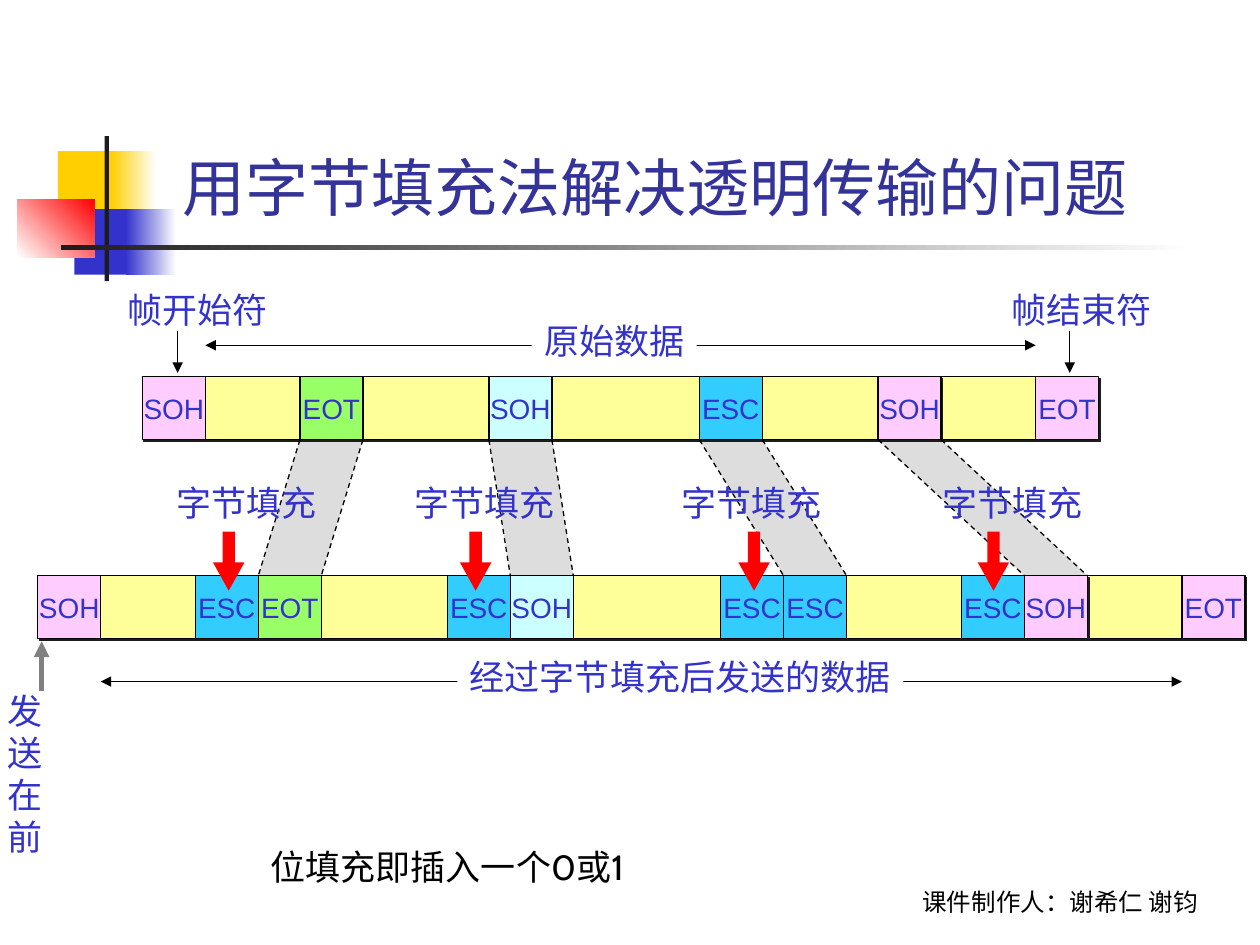
from lxml.etree import SubElement
from pptx import Presentation
from pptx.dml.color import RGBColor
from pptx.enum.dml import MSO_LINE
from pptx.enum.shapes import MSO_CONNECTOR, MSO_SHAPE
from pptx.enum.text import MSO_ANCHOR, MSO_AUTO_SIZE, PP_ALIGN
from pptx.oxml.ns import qn
from pptx.util import Pt

BLACK = RGBColor(0x00, 0x00, 0x00)
WHITE = RGBColor(0xFF, 0xFF, 0xFF)
CHARCOAL = RGBColor(0x1C, 0x1C, 0x1C)
GRAY = RGBColor(0x80, 0x80, 0x80)
BAND_GRAY = RGBColor(0xDD, 0xDD, 0xDD)
GOLD = RGBColor(0xFF, 0xCF, 0x01)
BLUE = RGBColor(0x33, 0x33, 0xCC)
TITLE_BLUE = RGBColor(0x33, 0x33, 0x99)
RED = RGBColor(0xFF, 0x00, 0x00)
PINK = RGBColor(0xFF, 0xCC, 0xFF)
YELLOW = RGBColor(0xFF, 0xFF, 0x99)
GREEN = RGBColor(0x99, 0xFF, 0x66)
CYAN = RGBColor(0xCC, 0xFF, 0xFF)
SKY = RGBColor(0x33, 0xCC, 0xFF)

CELL = 36
ORIGINAL_TOP, SENT_TOP = 215.3, 329
ORIGINAL_LEFT, ORIGINAL_END = 81.4, 591.8
SENT_LEFT, SENT_END = 21.6, 675.4
CAPTION_WIDTH, CAPTION_HEIGHT = 94.3, 31.7

# label, fill, shadow, original left, stuffed left, caption left, arrow left
STUFFINGS = [
    ("EOT", GREEN, False, 171.4, 147.6, 93.6, 121.7),
    ("SOH", CYAN, False, 279.4, 291.6, 229.7, 262.8),
    ("ESC", SKY, False, 399.6, 447.8, 382.3, 421.9),
    ("SOH", PINK, True, 501.8, 585.4, 531.4, 558.7),
]

CELL_FRAME = {"word_wrap": False, "vertical_anchor": MSO_ANCHOR.MIDDLE}
CAPTION_FRAME = {"word_wrap": False, "auto_size": MSO_AUTO_SIZE.SHAPE_TO_FIT_TEXT}
CAPTION_FONT = {"name": "Arial", "size": Pt(20)}
CELL_FONT = {"name": "Arial", "size": Pt(16)}


def set_format(target, values):
    """Set every named attribute of the target."""
    for name, value in values.items():
        setattr(target, name, value)


def write_text(frame, text, frame_format, font_format, color, align=PP_ALIGN.LEFT):
    """Fill a text frame with formatted paragraphs."""
    frame.text = text
    set_format(frame, frame_format)
    for paragraph in frame.paragraphs:
        paragraph.alignment = align
        for run in paragraph.runs:
            set_format(run.font, font_format)
            run.font.color.rgb = color


def add_block(slide, left, top, width, height, fill, preset=MSO_SHAPE.RECTANGLE):
    """Add a plain borderless shape."""
    block = slide.shapes.add_shape(preset, Pt(left), Pt(top), Pt(width), Pt(height))
    block.shadow.inherit = False
    block.fill.solid()
    block.fill.fore_color.rgb = fill
    block.line.fill.background()
    return block


def add_fade(slide, left, top, width, height, start, end, angle=0):
    """Add a block with a two-colour gradient."""
    fade = add_block(slide, left, top, width, height, start)
    fade.fill.gradient()
    fade.fill.gradient_angle = angle
    for stop, color in zip(fade.fill.gradient_stops, (start, end)):
        stop.color.rgb = color


def add_cell(slide, left, top, fill, label="", width=CELL, shadow=False):
    """Add one outlined field of a frame."""
    cell = add_block(slide, left, top, width, CELL, fill)
    cell.line.color.rgb = BLACK
    cell.line.width = Pt(0.75)
    if shadow:
        effects = cell._element.spPr.find(qn("a:effectLst"))
        outer = SubElement(effects, qn("a:outerShdw"), dist=str(Pt(1.4)), dir="2700000",
                           algn="ctr", rotWithShape="0")
        SubElement(outer, qn("a:srgbClr"), val=str(CHARCOAL))
    if label:
        write_text(cell.text_frame, label, CELL_FRAME, CELL_FONT, BLUE, PP_ALIGN.CENTER)


def add_line(slide, start, end, color=BLACK, width=0.75, dash=None, ends=()):
    """Add a straight line with optional dashes and arrowheads."""
    line = slide.shapes.add_connector(MSO_CONNECTOR.STRAIGHT, *map(Pt, start + end))
    line.line.color.rgb = color
    set_format(line.line, {"width": Pt(width), "dash_style": dash})
    properties = line._element.spPr
    for end_tag in ends:
        SubElement(properties.find(qn("a:ln")), qn(end_tag), type="triangle")
    SubElement(properties, qn("a:effectLst"))


def add_band(slide, original_left, stuffed_left):
    """Add the gray band that links a field to its stuffed place."""
    bottom = ORIGINAL_TOP + CELL
    corners = [(original_left + CELL, bottom), (stuffed_left + CELL, SENT_TOP),
               (stuffed_left, SENT_TOP)]
    builder = slide.shapes.build_freeform(Pt(original_left), Pt(bottom))
    builder.add_line_segments([(Pt(x), Pt(y)) for x, y in corners], close=True)
    band = builder.convert_to_shape()
    band.shadow.inherit = False
    band.fill.solid()
    band.fill.fore_color.rgb = BAND_GRAY
    band.line.fill.background()


def add_caption(slide, text, left, top, width=CAPTION_WIDTH, height=CAPTION_HEIGHT,
                color=BLUE, fill=None, frame=CAPTION_FRAME, font=CAPTION_FONT,
                align=PP_ALIGN.LEFT):
    """Add a text box with an optional background."""
    caption = slide.shapes.add_textbox(Pt(left), Pt(top), Pt(width), Pt(height))
    if fill is not None:
        caption.fill.solid()
        caption.fill.fore_color.rgb = fill
    write_text(caption.text_frame, text, frame, font, color, align)


def add_title(slide, text):
    """Place the slide title."""
    title = slide.shapes.title
    set_format(title, {"left": Pt(90.7), "top": Pt(16.6), "width": Pt(575.3), "height": Pt(115.2)})
    write_text(title.text_frame, text,
               {"vertical_anchor": MSO_ANCHOR.BOTTOM, "auto_size": MSO_AUTO_SIZE.NONE},
               {"name": "Arial", "size": Pt(36)}, TITLE_BLUE, PP_ALIGN.CENTER)


def add_ornament(slide):
    """Draw the coloured squares and rules beside the title."""
    add_block(slide, 33.1, 86.4, 34.6, 37.4, GOLD)
    add_fade(slide, 63.4, 86.4, 25.9, 37.4, GOLD, WHITE)
    add_block(slide, 42.5, 119.5, 33.1, 37.4, BLUE)
    add_fade(slide, 72, 119.5, 28.8, 37.4, BLUE, WHITE)
    add_fade(slide, 10.1, 113.8, 43.9, 33.1, WHITE, RED, 45)
    add_block(slide, 59.8, 77.8, 2.4, 82.8, CHARCOAL)
    add_fade(slide, 34.6, 140.2, 648, 2.4, CHARCOAL, WHITE)


def add_frame(slide, left, end, top):
    """Draw a frame with its data bar and its delimiters."""
    add_cell(slide, left, top, PINK, "SOH", shadow=True)
    add_cell(slide, left + CELL, top, YELLOW, width=end - left - CELL, shadow=True)
    add_cell(slide, end, top, PINK, "EOT", shadow=True)


def add_stuffing(slide, label, fill, shadow, original_left, stuffed_left, caption_left, arrow_left):
    """Draw one escaped field with its links, caption and arrow."""
    add_cell(slide, original_left, ORIGINAL_TOP, fill, label, shadow=shadow)
    add_cell(slide, stuffed_left - CELL, SENT_TOP, SKY, "ESC")
    add_cell(slide, stuffed_left, SENT_TOP, fill, label, shadow=shadow)
    for edge in (0, CELL):
        add_line(slide, (original_left + edge, ORIGINAL_TOP + CELL),
                 (stuffed_left + edge, SENT_TOP), dash=MSO_LINE.DASH)
    add_caption(slide, "字节填充", caption_left, 271.4)
    arrow = add_block(slide, arrow_left, 303.8, 18, 33.8, RED, MSO_SHAPE.DOWN_ARROW)
    arrow.adjustments[0], arrow.adjustments[1] = 0.39, 0.9


def main():
    """Build the byte stuffing slide."""
    deck = Presentation()
    set_format(deck, {"slide_width": Pt(720), "slide_height": Pt(540)})
    slide = deck.slides.add_slide(deck.slide_layouts[5])
    add_ornament(slide)
    add_title(slide, "用字节填充法解决透明传输的问题 ")

    for stuffing in STUFFINGS:
        add_band(slide, *stuffing[3:5])
    add_frame(slide, ORIGINAL_LEFT, ORIGINAL_END, ORIGINAL_TOP)
    add_frame(slide, SENT_LEFT, SENT_END, SENT_TOP)
    for stuffing in STUFFINGS:
        add_stuffing(slide, *stuffing)

    both_ends = ("a:headEnd", "a:tailEnd")
    add_line(slide, (ORIGINAL_LEFT + CELL, 197.3), (ORIGINAL_END, 197.3), ends=both_ends)
    add_caption(slide, "原始数据", 303.8, 179.3, fill=WHITE)
    add_line(slide, (SENT_LEFT + CELL, 389.5), (SENT_END, 389.5), ends=both_ends)
    add_caption(slide, "经过字节填充后发送的数据", 261.4, 370.8, width=254.9, fill=WHITE)

    for text, left, pointer in (("帧开始符", 65.5, 101.5), ("帧结束符", 571, 611.3)):
        add_line(slide, (pointer, 189.4), (pointer, 213.1), ends=("a:tailEnd",))
        add_caption(slide, text, left, 161.3)
    add_line(slide, (23.8, 394.6), (23.8, 366.5), GRAY, 3, ends=("a:tailEnd",))
    add_caption(slide, "发送\n在前", -2.9, 390.2, width=54, height=55.4)

    add_caption(slide, "位填充即插入一个0或1", 147.6, 479.5, width=235.4, color=BLACK,
                frame={**CAPTION_FRAME, "word_wrap": True}, font={**CAPTION_FONT, "name": "Cabin"})
    add_caption(slide, "课件制作人：谢希仁 谢钧", 491.8, 491, width=228.2, height=36, color=BLACK,
                frame={"word_wrap": True, "vertical_anchor": MSO_ANCHOR.BOTTOM},
                font={"name": "Cabin", "size": Pt(14)}, align=PP_ALIGN.CENTER)
    deck.save("out.pptx")


if __name__ == "__main__":
    main()
